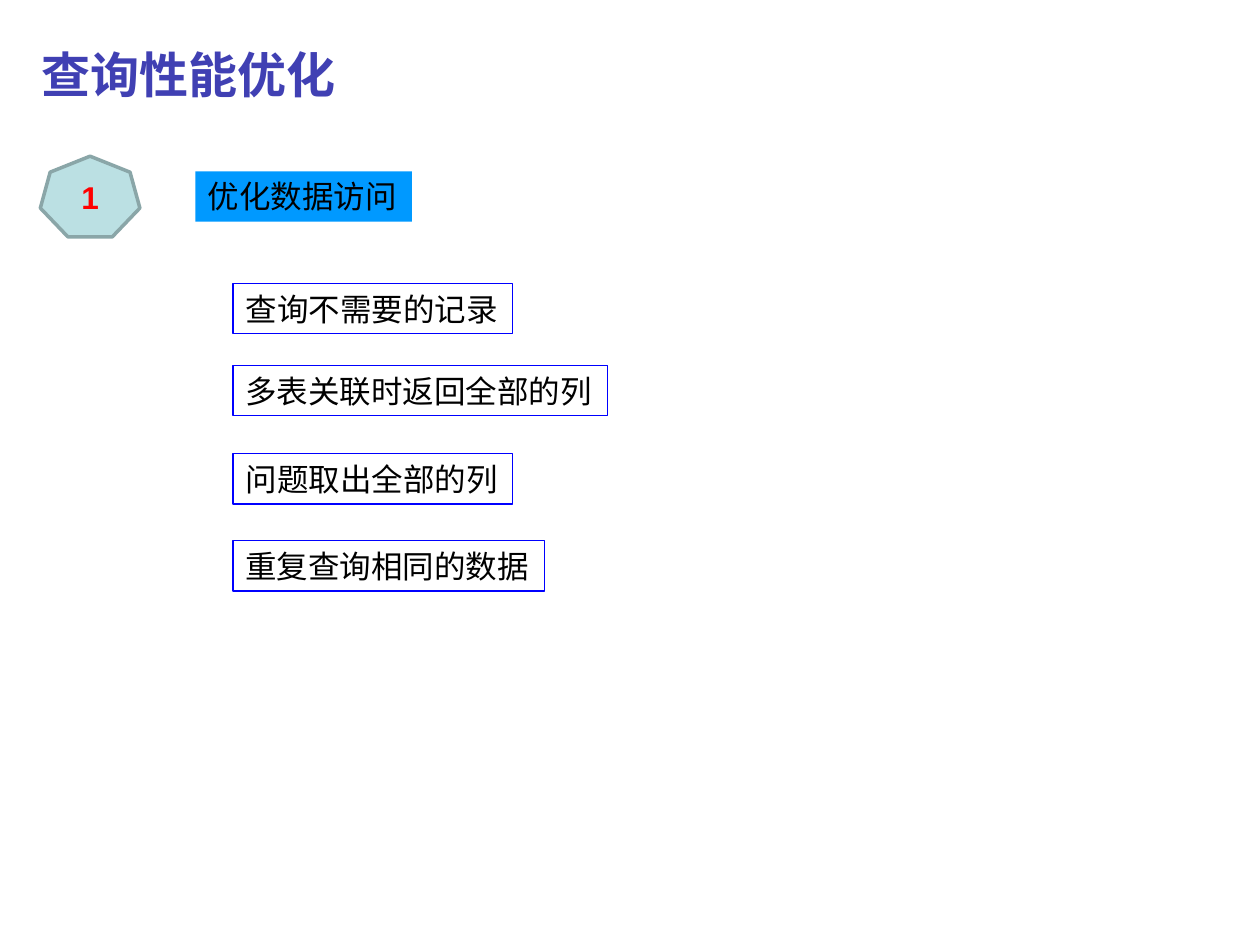
import pptx
import pptx.util
import pptx.dml.color
import pptx.enum.shapes
import pptx.enum.text

Inches = pptx.util.Inches
Pt = pptx.util.Pt
Shapes = pptx.enum.shapes.MSO_SHAPE
Align = pptx.enum.text.PP_ALIGN
Anchor = pptx.enum.text.MSO_ANCHOR
AutoSize = pptx.enum.text.MSO_AUTO_SIZE

COLORS = {
    "title": "4040B3",
    "badge": "BBE0E3",
    "badge_line": "8AA6A8",
    "number": "FF0000",
    "heading": "0099FF",
    "item_line": "0000FF",
    "text": "000000",
}
LABEL_HEIGHT = 0.4
LABEL_PADDING = 0.22
CHARACTER_WIDTH = 0.25
ITEMS = [
    (2.25, "查询不需要的记录"),
    (2.9, "多表关联时返回全部的列"),
    (3.6, "问题取出全部的列"),
    (4.29, "重复查询相同的数据"),
]


def color(name):
    return pptx.dml.color.RGBColor.from_string(COLORS[name])


def write(shape, text, ink, align=Align.LEFT, frame_format=None, **font_format):
    frame = shape.text_frame
    frame_values = {
        "word_wrap": False,
        "auto_size": AutoSize.SHAPE_TO_FIT_TEXT,
        "vertical_anchor": Anchor.TOP,
        **(frame_format or {}),
    }
    for name, value in frame_values.items():
        setattr(frame, name, value)
    para = frame.paragraphs[0]
    para.alignment = align
    span = para.add_run()
    span.text = text
    font_values = {"name": "Arial", "size": Pt(18), "bold": False, **font_format}
    for name, value in font_values.items():
        setattr(span.font, name, value)
    span.font.color.rgb = color(ink)


def place(shape, box):
    for name, value in zip(("left", "top", "width", "height"), box):
        setattr(shape, name, Inches(value))


def add_panel(page, kind, box, fill=None, line=None, weight=0.75):
    shape = page.shapes.add_shape(kind, *map(Inches, box))
    shape.shadow.inherit = False
    if fill:
        shape.fill.solid()
        shape.fill.fore_color.rgb = color(fill)
    else:
        shape.fill.background()
    if line:
        shape.line.color.rgb = color(line)
        shape.line.width = Pt(weight)
    else:
        shape.line.fill.background()
    return shape


def add_title(page, box, text):
    title = page.shapes.title
    place(title, box)
    write(title, text, "title", size=Pt(28), bold=True)


def add_badge(page, box, text):
    badge = add_panel(page, Shapes.HEPTAGON, box, "badge", "badge_line", 2)
    frame_format = {
        "word_wrap": True,
        "auto_size": AutoSize.NONE,
        "vertical_anchor": Anchor.MIDDLE,
    }
    write(badge, text, "number", Align.CENTER, frame_format, bold=True)


def add_label(page, left, top, text, fill=None, line=None):
    width = LABEL_PADDING + CHARACTER_WIDTH * len(text)
    box = (left, top, width, LABEL_HEIGHT)
    label = add_panel(page, Shapes.RECTANGLE, box, fill, line)
    write(label, text, "text")


def main():
    deck = pptx.Presentation()
    deck.slide_width, deck.slide_height = Inches(10), Inches(7.5)
    page = deck.slides.add_slide(deck.slide_layouts.get_by_name("Title Only"))
    add_title(page, (0.23, 0.3, 2.57, 0.57), "查询性能优化")
    add_badge(page, (0.32, 1.24, 0.79, 0.64), "1")
    add_label(page, 1.55, 1.36, "优化数据访问", fill="heading")
    for top, text in ITEMS:
        add_label(page, 1.85, top, text, line="item_line")
    deck.save("out.pptx")


if __name__ == "__main__":
    main()
